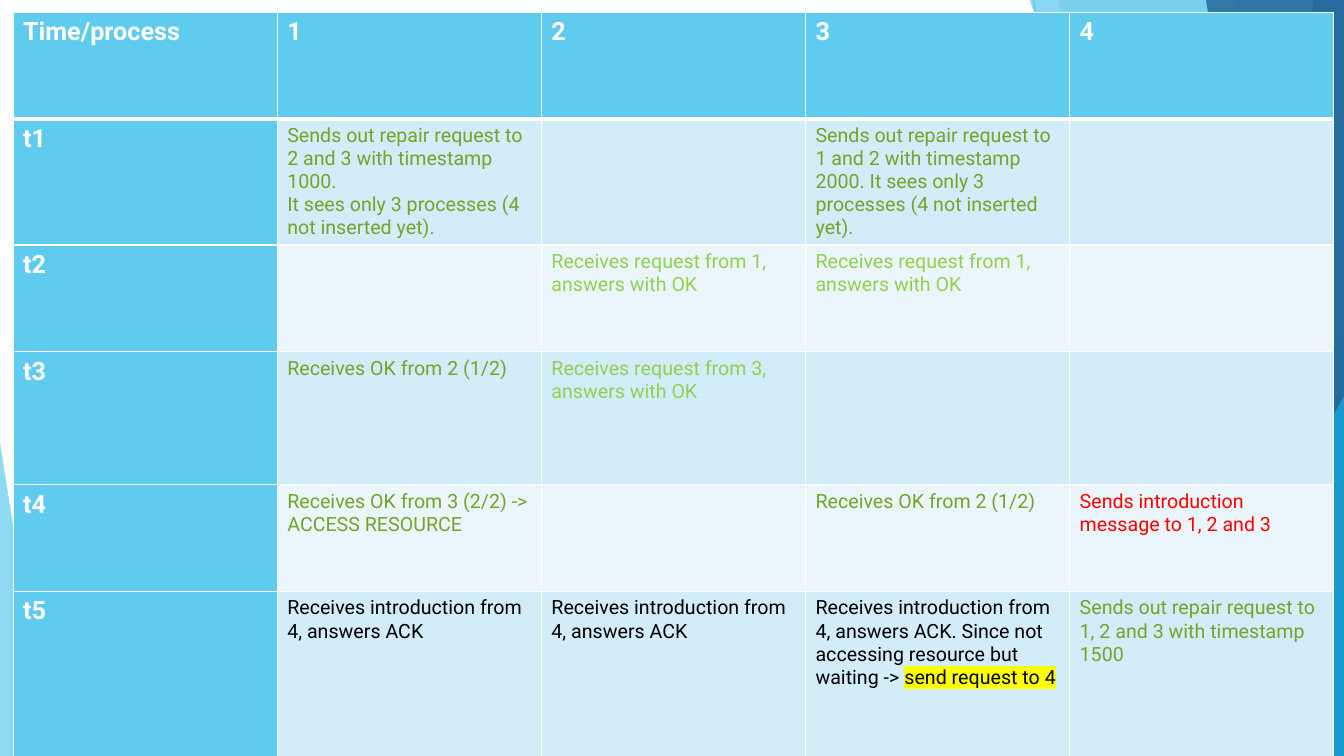
"""Build the slide on repair requests as a table of time steps and processes."""
from dataclasses import dataclass
from lxml.etree import SubElement as Sub
from pptx import Presentation
from pptx.dml.color import RGBColor
from pptx.enum.shapes import MSO_CONNECTOR as Conn, MSO_SHAPE as Shape
from pptx.oxml.ns import qn
from pptx.util import Inches, Pt

WIDE, HIGH, TOP = 13.33, 7.5, -0.01
FONT = "Roboto"
SKY, BLUE, WHITE = "5FCBEF", "17B0E4", "FFFFFF"
GREEN, LIME, RED, BLACK = "72A528", "92D050", "FF0000", "000000"
BANDS = ("D2ECF9", "EAF6FC")
MARK = "FFFF00"
ROWS = (1.06, 1.06, 1.06, 1.32, 1.06, 1.68)
COLS = (2.62,) * 5


@dataclass
class Ray:
    start: tuple[float, float]
    end: tuple[float, float]


@dataclass
class Shard:
    top: float
    base: float
    color: str
    alpha: int


@dataclass
class Wedge:
    box: tuple[float, float, float, float]
    peak: float
    color: str
    alpha: int


@dataclass
class Note:
    text: str
    color: str = GREEN
    mark: str = ""
    size: int = 14
    bold: bool = False


def label(text: str) -> Note:
    return Note(text, WHITE, size=18, bold=True)


DECOR = (
    Ray((10.25, 0), (11.58, HIGH)),
    Ray((WIDE, 4.03), (8.12, HIGH)),
    Shard(12.28, 10.04, SKY, 36),
    Shard(10.5, 11.83, SKY, 20),
    Wedge((9.77, 3.33, 3.56, 4.17), 1, BLUE, 66),
    Shard(10.21, 12.91, BLUE, 50),
    Shard(13.03, 11.92, "2E83C3", 70),
    Shard(11.96, 13.18, "226292", 80),
    Wedge((11.34, 3.93, 1.99, 3.57), 1, BLUE, 66),
    Wedge((0, 4.39, 0.49, 3.11), 0, SKY, 70),
)

ASK = Note("Receives request from 1, answers with OK", LIME)
ACK = Note("Receives introduction from 4, answers ACK", BLACK)
HALF = Note("Receives OK from 2 (1/2)")
GRID = (
    tuple(label(text) for text in ("Time/process", "1", "2", "3", "4")),
    (label("t1"),
     Note("Sends out repair request to 2 and 3 with timestamp 1000.\n"
          "It sees only 3 processes (4 not inserted yet)."),
     None,
     Note("Sends out repair request to 1 and 2 with timestamp 2000. "
          "It sees only 3 processes (4 not inserted yet)."),
     None),
    (label("t2"), None, ASK, ASK, None),
    (label("t3"), HALF,
     Note("Receives request from 3, answers with OK", LIME), None, None),
    (label("t4"), Note("Receives OK from 3 (2/2) -> ACCESS RESOURCE"), None,
     HALF, Note("Sends introduction message to 1, 2 and 3", RED)),
    (label("t5"), ACK, ACK,
     Note("Receives introduction from 4, answers ACK. Since not accessing "
          "resource but waiting -> ", BLACK, "send request to 4"),
     Note("Sends out repair request to 1, 2 and 3 with timestamp 1500")),
)


def rgb(code: str) -> RGBColor:
    return RGBColor.from_string(code)


def fade(form, alpha: int) -> None:
    for tint in form._element.spPr.iter(qn("a:srgbClr")):
        Sub(tint, qn("a:alpha"), val=str(alpha * 1000))


def paint(form, color: str, alpha: int) -> None:
    form.shadow.inherit = False
    form.fill.solid()
    form.fill.fore_color.rgb = rgb(color)
    form.line.fill.background()
    fade(form, alpha)


def draw_ray(shapes, ray: Ray) -> None:
    ends = map(Inches, ray.start + ray.end)
    line = shapes.add_connector(Conn.STRAIGHT, *ends)
    line.line.color.rgb = rgb(SKY)
    line.line.width = Pt(0.75)
    fade(line, 70)
    Sub(line._element.spPr, qn("a:effectLst"))


def draw_shard(shapes, shard: Shard) -> None:
    spots = ((shard.top, TOP), (WIDE, TOP), (WIDE, HIGH), (shard.base, HIGH))
    first, *rest = [(Inches(x), Inches(y)) for x, y in spots]
    path = shapes.build_freeform(*first)
    path.add_line_segments(rest, close=True)
    paint(path.convert_to_shape(), shard.color, shard.alpha)


def draw_wedge(shapes, wedge: Wedge) -> None:
    form = shapes.add_shape(Shape.ISOSCELES_TRIANGLE, *map(Inches, wedge.box))
    form.adjustments[0] = wedge.peak
    paint(form, wedge.color, wedge.alpha)


def edge(cell, row: int) -> None:
    props = cell._tc.get_or_add_tcPr()
    for side in "LRTB":
        thick = (row, side) in ((0, "B"), (1, "T"))
        line = Sub(props, qn(f"a:ln{side}"), w=str(Pt(3 if thick else 1)))
        Sub(Sub(line, qn("a:solidFill")), qn("a:srgbClr"), val=WHITE)


def write(cell, note: Note) -> None:
    para = cell.text_frame.paragraphs[0]
    para.text = note.text
    font = para.font
    font.name, font.size, font.bold = FONT, Pt(note.size), note.bold
    font.color.rgb = rgb(note.color)
    if note.mark:
        run = para.add_run()
        run.text = note.mark
        glow = Sub(run._r.get_or_add_rPr(), qn("a:highlight"))
        Sub(glow, qn("a:srgbClr"), val=MARK)


def draw_grid(shapes) -> None:
    area = map(Inches, (0.13, 0.12, sum(COLS), sum(ROWS)))
    table = shapes.add_table(len(ROWS), len(COLS), *area).table
    for col, width in zip(table.columns, COLS):
        col.width = Inches(width)
    for row, notes in enumerate(GRID):
        table.rows[row].height = Inches(ROWS[row])
        for col, note in enumerate(notes):
            cell = table.cell(row, col)
            edge(cell, row)
            head = row == 0 or col == 0
            cell.fill.solid()
            cell.fill.fore_color.rgb = rgb(SKY if head else BANDS[1 - row % 2])
            if note:
                write(cell, note)


def main() -> None:
    deck = Presentation()
    deck.slide_width, deck.slide_height = Inches(WIDE), Inches(HIGH)
    shapes = deck.slides.add_slide(deck.slide_layouts[6]).shapes
    tools = {Ray: draw_ray, Shard: draw_shard, Wedge: draw_wedge}
    for item in DECOR:
        tools[type(item)](shapes, item)
    draw_grid(shapes)
    deck.save("out.pptx")


if __name__ == "__main__":
    main()
